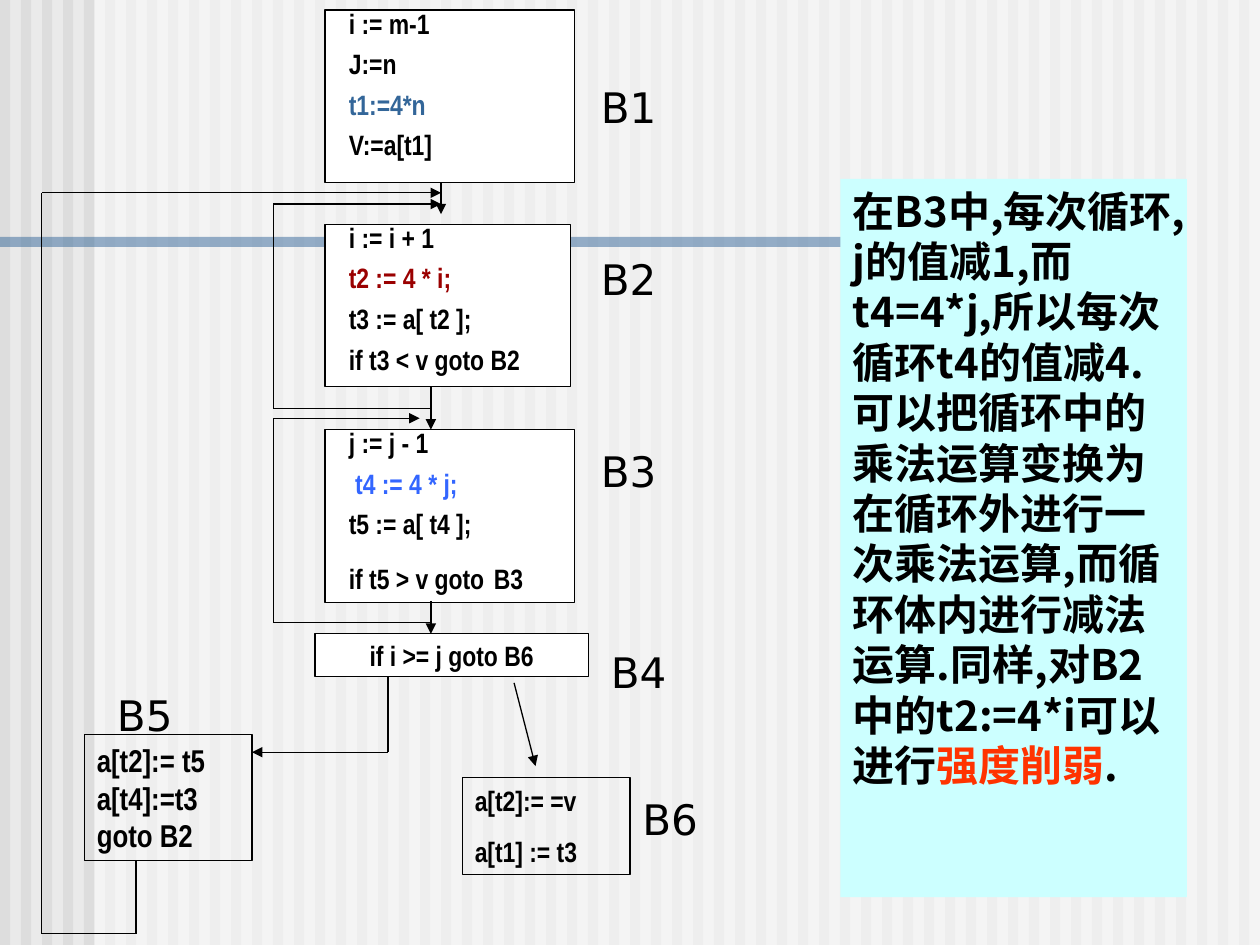
"""Build a flow graph slide on strength reduction in loops."""
from itertools import pairwise

from pptx import Presentation
from pptx.dml.color import RGBColor
from pptx.enum.shapes import MSO_CONNECTOR, MSO_SHAPE
from pptx.enum.text import MSO_ANCHOR, PP_ALIGN
from pptx.oxml.ns import qn
from pptx.oxml.xmlchemy import OxmlElement
from pptx.util import Inches, Pt

BLACK = RGBColor(0, 0, 0)
WHITE = RGBColor(255, 255, 255)
PAPER = RGBColor(0xEA, 0xEA, 0xEA)
GREY = RGBColor(0xDD, 0xDD, 0xDD)
STEEL = RGBColor(0x33, 0x66, 0x99)
MAROON = RGBColor(0x9A, 0, 0)
BLUE = RGBColor(0x33, 0x66, 0xFF)
CYAN = RGBColor(0xCC, 0xFF, 0xFF)
RED = RGBColor(0xFF, 0x33, 0)

CODE = "Arial Narrow"
LABEL = "DejaVu Sans"
HAN = "Noto Sans CJK SC"

BLOCKS = [
    ((2.58, 0.08, 1.98, 1.37),
     [[("i := m-1", BLACK)], [("J:=n", BLACK)], [("t1:=4*n", STEEL)],
      [("V:=a[t1]", BLACK)]]),
    ((2.58, 1.78, 1.95, 1.29),
     [[("i := i + 1", BLACK)], [("t2 := 4 * i;", MAROON)],
      [("t3 := a[ t2 ];", BLACK)], [("if t3 < v goto B2", BLACK)]]),
    ((2.58, 3.41, 1.98, 1.37),
     [[("j := j - 1", BLACK)], [(" t4 := 4 * j;", BLUE)],
      [("t5 := a[ t4 ];", BLACK)],
      [("if t5 > v goto", BLACK), (" ", BLACK, 24), ("B3", BLACK)]]),
]
TEST = (2.5, 5.03, 2.17, 0.34), [[("if i >= j goto B6", BLACK)]]
EXITS = [
    ((0.67, 5.83, 1.33, 1), 18, 0,
     [[("a[t2]:= t5", BLACK)], [("a[t4]:=t3", BLACK)], [("goto B2", BLACK)]]),
    ((3.67, 6.17, 1.33, 0.77), 16, 10,
     [[("a[t2]:= =v", BLACK)], [("a[t1] := t3", BLACK)]]),
]
LABELS = [("B1", 4.67, 0.6), ("B2", 4.67, 1.96), ("B3", 4.67, 3.49),
          ("B4", 4.75, 5.08), ("B5", 0.83, 5.42), ("B6", 5, 6.25)]
FLOWS = [
    [(3.5, 1.45), (3.5, 1.7)],
    [(3.42, 3.07), (3.42, 3.41)],
    [(3.42, 4.77), (3.42, 5.03)],
    [(3.42, 3.24), (2.17, 3.24), (2.17, 1.62), (3.5, 1.62)],
    [(3.42, 4.94), (2.17, 4.94), (2.17, 3.32), (3.33, 3.32)],
    [(3.08, 5.37), (3.08, 5.97), (2, 5.97)],
    [(1.08, 6.83), (1.08, 7.41), (0.33, 7.41), (0.33, 1.53), (3.5, 1.53)],
    [(4.08, 5.42), (4.25, 6.08)],
]
NOTE = [[
    ("在B3中,每次循环,j的值减1,而t4=4*j,所以每次循环t4的值减4."
     "可以把循环中的乘法运算变换为在循环外进行一次乘法运算,"
     "而循环体内进行减法运算.同样,对B2中的t2:=4*i可以进行", BLACK),
    ("强度削弱", RED), (".", BLACK),
]]

deck = Presentation()
deck.slide_width, deck.slide_height = Inches(10), Inches(7.5)
slide = deck.slides.add_slide(deck.slide_layouts[6])
slide.background.fill.solid()
slide.background.fill.fore_color.rgb = PAPER
shapes = slide.shapes


def add_rect(area, fill=None, line=None, alpha=None):
    rect = shapes.add_shape(MSO_SHAPE.RECTANGLE, *map(Inches, area))
    rect.shadow.inherit = False
    if fill is None:
        rect.fill.background()
    else:
        rect.fill.solid()
        rect.fill.fore_color.rgb = fill
    if line is None:
        rect.line.fill.background()
    else:
        rect.line.color.rgb = line
        rect.line.width = Pt(0.75)
    if alpha:
        tint = OxmlElement("a:alpha")
        tint.set("val", str(alpha * 1000))
        rect.fill._xPr.find(".//" + qn("a:srgbClr")).append(tint)
    return rect


def write(shape, lines, size, font=CODE, gap=0, bold=True,
          align=PP_ALIGN.LEFT, anchor=MSO_ANCHOR.TOP, wrap=True):
    frame = shape.text_frame
    frame.word_wrap = wrap
    frame.vertical_anchor = anchor
    for row, runs in enumerate(lines):
        para = frame.add_paragraph() if row else frame.paragraphs[0]
        para.alignment = align
        para.space_before = Pt(gap if row else 0)
        para.font.size = Pt(size)
        para.font.name = font
        para.font.bold = bold
        east = OxmlElement("a:ea")
        east.set("typeface", font)
        para._p.pPr.find(qn("a:defRPr")).append(east)
        for text, ink, *own in runs:
            run = para.add_run()
            run.text = text
            run.font.color.rgb = ink
            if own:
                run.font.size = Pt(own[0])


def add_text(area, lines, size, **style):
    write(shapes.add_textbox(*map(Inches, area)), lines, size, **style)


def add_flow(points):
    for start, end in pairwise(points):
        line = shapes.add_connector(
            MSO_CONNECTOR.STRAIGHT, *map(Inches, start + end))
        line.line.color.rgb = BLACK
        line.line.width = Pt(0.75)
        line._element.spPr.append(OxmlElement("a:effectLst"))
    head = OxmlElement("a:tailEnd")
    head.set("type", "triangle")
    line.line._get_or_add_ln().append(head)


for step in range(60):
    add_rect((step / 6, 0, 0.08, 7.5), GREY)
add_rect((0.75, 0, 9.25, 7.5), WHITE, alpha=50)
add_rect((0, 1.88, 7.6, 0.08), STEEL, alpha=50)

for area, lines in BLOCKS:
    left, top, width, height = area
    add_rect(area, WHITE, BLACK)
    add_text((left + 0.09, top - 0.08, width, height), lines, 16, gap=4)
area, lines = TEST
write(add_rect(area, WHITE, BLACK), lines, 16, align=PP_ALIGN.CENTER,
      anchor=MSO_ANCHOR.MIDDLE, wrap=False)
for area, size, gap, lines in EXITS:
    write(add_rect(area, line=BLACK), lines, size, gap=gap)
for name, left, top in LABELS:
    add_text((left, top, 0.92, 0.5), [[(name, BLACK)]], 24,
             font=LABEL, bold=False)
for points in FLOWS:
    add_flow(points)
write(add_rect((6.67, 1.42, 2.75, 5.7), CYAN), NOTE, 24, font=HAN)

deck.save("out.pptx")
